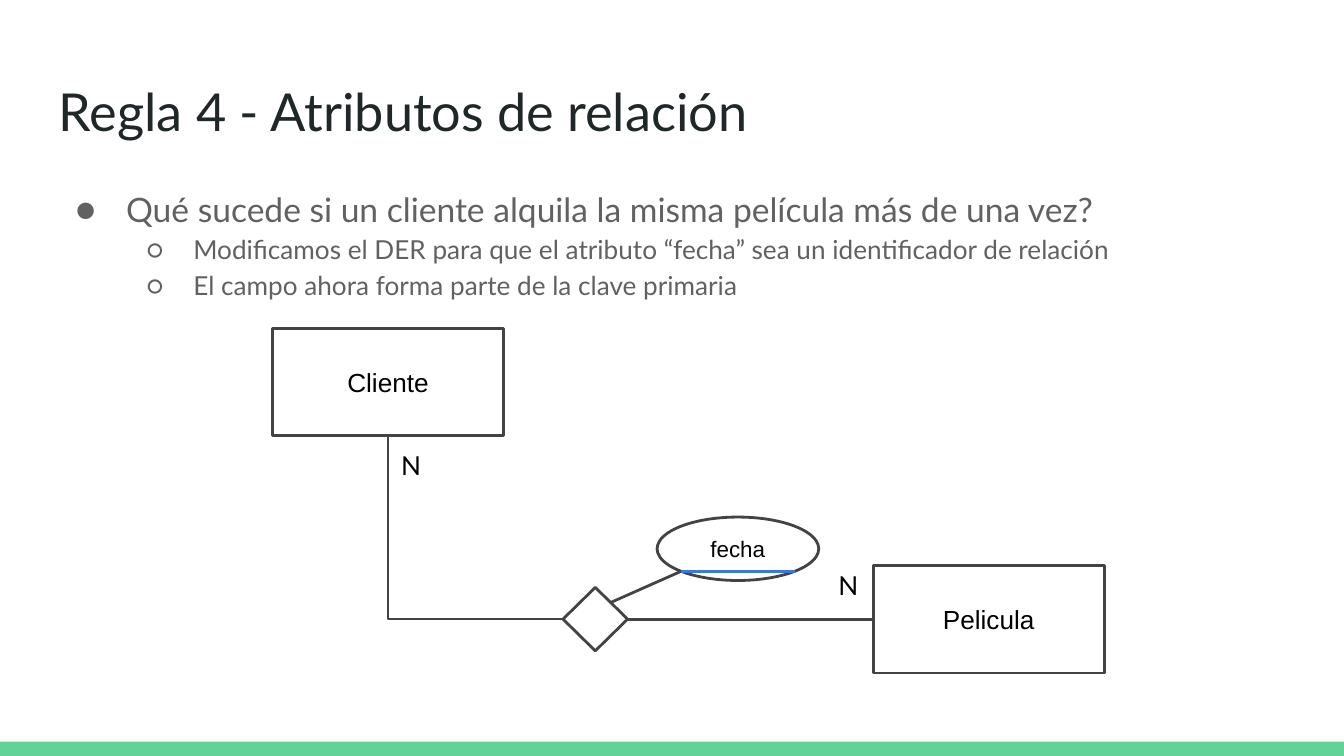
from lxml.etree import SubElement
from pptx import Presentation
from pptx.dml.color import RGBColor
from pptx.enum.shapes import MSO_CONNECTOR, MSO_SHAPE
from pptx.enum.text import MSO_ANCHOR, PP_ALIGN
from pptx.oxml.ns import qn
from pptx.util import Pt

GREEN, BLUE = "63D297", "3C78D8"
TITLE, BODY, OUTLINE, BLACK = "202729", "616161", "434343", "000000"


def color(hex_string):
    return RGBColor.from_string(hex_string)


def write(paragraph, text, size=14, font="Lato", fill=BLACK, align=PP_ALIGN.LEFT, spacing=None):
    run = paragraph.add_run()
    run.text = text
    run.font.size = Pt(size)
    run.font.name = font
    run.font.color.rgb = color(fill)
    paragraph.alignment = align
    if spacing:
        paragraph.line_spacing = spacing


def set_insets(frame, anchor=MSO_ANCHOR.TOP):
    frame.word_wrap = True
    frame.vertical_anchor = anchor
    frame.margin_left = frame.margin_right = Pt(7.2)
    frame.margin_top = frame.margin_bottom = Pt(7.2)


def add_text_box(shapes, box):
    frame = shapes.add_textbox(*map(Pt, box)).text_frame
    set_insets(frame)
    return frame


def add_label(shapes, box, text, **style):
    write(add_text_box(shapes, box).paragraphs[0], text, **style)


def add_bullet(paragraph, symbol, margin, indent):
    properties = paragraph._p.get_or_add_pPr()
    properties.set("marL", str(Pt(margin)))
    properties.set("indent", str(Pt(indent)))
    bullet_color = SubElement(properties, qn("a:buClr"))
    SubElement(bullet_color, qn("a:srgbClr")).set("val", BODY)
    SubElement(properties, qn("a:buFont")).set("typeface", "Lato")
    SubElement(properties, qn("a:buChar")).set("char", symbol)


def add_node(shapes, kind, box, text="", size=14):
    shape = shapes.add_shape(kind, *map(Pt, box))
    shape.shadow.inherit = False
    shape.fill.background()
    shape.line.color.rgb = color(OUTLINE)
    shape.line.width = Pt(1.5)
    set_insets(shape.text_frame, MSO_ANCHOR.MIDDLE)
    if text:
        write(shape.text_frame.paragraphs[0], text, size=size, font="Arial", align=PP_ALIGN.CENTER)


def add_line(shapes, start, end, line_color=OUTLINE, kind=MSO_CONNECTOR.STRAIGHT):
    connector = shapes.add_connector(kind, *map(Pt, start + end))
    connector.line.color.rgb = color(line_color)
    connector.line.width = Pt(1.5)
    SubElement(connector._element.spPr, qn("a:effectLst"))
    return connector


def add_corner(shapes, start, end):
    """Connect down from start, then right to end, with a single bend."""
    width, height = end[0] - start[0], end[1] - start[1]
    left = start[0] + (width - height) / 2
    top = start[1] + (height - width) / 2
    connector = add_line(shapes, (left, top), (left + height, top + width), kind=MSO_CONNECTOR.ELBOW)
    properties = connector._element.spPr
    properties.find(qn("a:prstGeom")).set("prst", "bentConnector2")
    transform = properties.find(qn("a:xfrm"))
    transform.set("rot", str(270 * 60000))
    transform.set("flipH", "1")


def add_bullets(slide):
    frame = add_text_box(slide.shapes, (24.5, 90.7, 643, 39.6))
    items = [
        (0, "Qué sucede si un cliente alquila la misma película más de una vez?"),
        (1, "Modificamos el DER para que el atributo “fecha” sea un identificador de relación"),
        (1, "El campo ahora forma parte de la clave primaria"),
    ]
    levels = [("●", 36, -27, 18), ("○", 72, -25.2, 14)]
    for index, (level, text) in enumerate(items):
        paragraph = frame.add_paragraph() if index else frame.paragraphs[0]
        symbol, margin, indent, size = levels[level]
        paragraph.level = level
        write(paragraph, text, size=size, fill=BODY, spacing=1.15)
        add_bullet(paragraph, symbol, margin, indent)


def add_diagram(slide):
    shapes = slide.shapes.add_group_shape().shapes

    # Entities and relationship
    add_node(shapes, MSO_SHAPE.RECTANGLE, (146, 175.8, 123.8, 57.7), "Cliente")
    add_node(shapes, MSO_SHAPE.RECTANGLE, (467.8, 302.9, 123.8, 57.7), "Pelicula")
    add_node(shapes, MSO_SHAPE.FLOWCHART_DECISION, (301.6, 314.7, 34.6, 34))

    # Connections with their cardinality
    add_corner(shapes, (207.9, 233.5), (301.6, 331.7))
    add_line(shapes, (336.2, 331.7), (467.8, 331.7), kind=MSO_CONNECTOR.ELBOW)
    for left, top in ((442.1, 297.8), (207.9, 233.5)):
        add_label(shapes, (left, top, 21.6, 34), "N")

    # Relationship attribute, underlined as an identifier
    add_node(shapes, MSO_SHAPE.OVAL, (352, 277, 86.6, 34), "fecha", size=12)
    add_line(shapes, (327.6, 322.6), (365, 306))
    add_line(slide.shapes, (365, 306), (425.8, 306), BLUE)


def main():
    presentation = Presentation()
    presentation.slide_width, presentation.slide_height = Pt(720), Pt(405)
    slide = presentation.slides.add_slide(presentation.slide_layouts[6])

    # Footer band
    band = slide.shapes.add_shape(MSO_SHAPE.RECTANGLE, Pt(0), Pt(397.4), Pt(720), Pt(7.6))
    band.shadow.inherit = False
    band.fill.solid()
    band.fill.fore_color.rgb = color(GREEN)
    band.line.fill.background()

    # Title, text and diagram
    add_label(slide.shapes, (24.5, 35.3, 671, 45.4), "Regla 4 - Atributos de relación", size=28, fill=TITLE)
    add_bullets(slide)
    add_diagram(slide)
    presentation.save("out.pptx")


if __name__ == "__main__":
    main()
